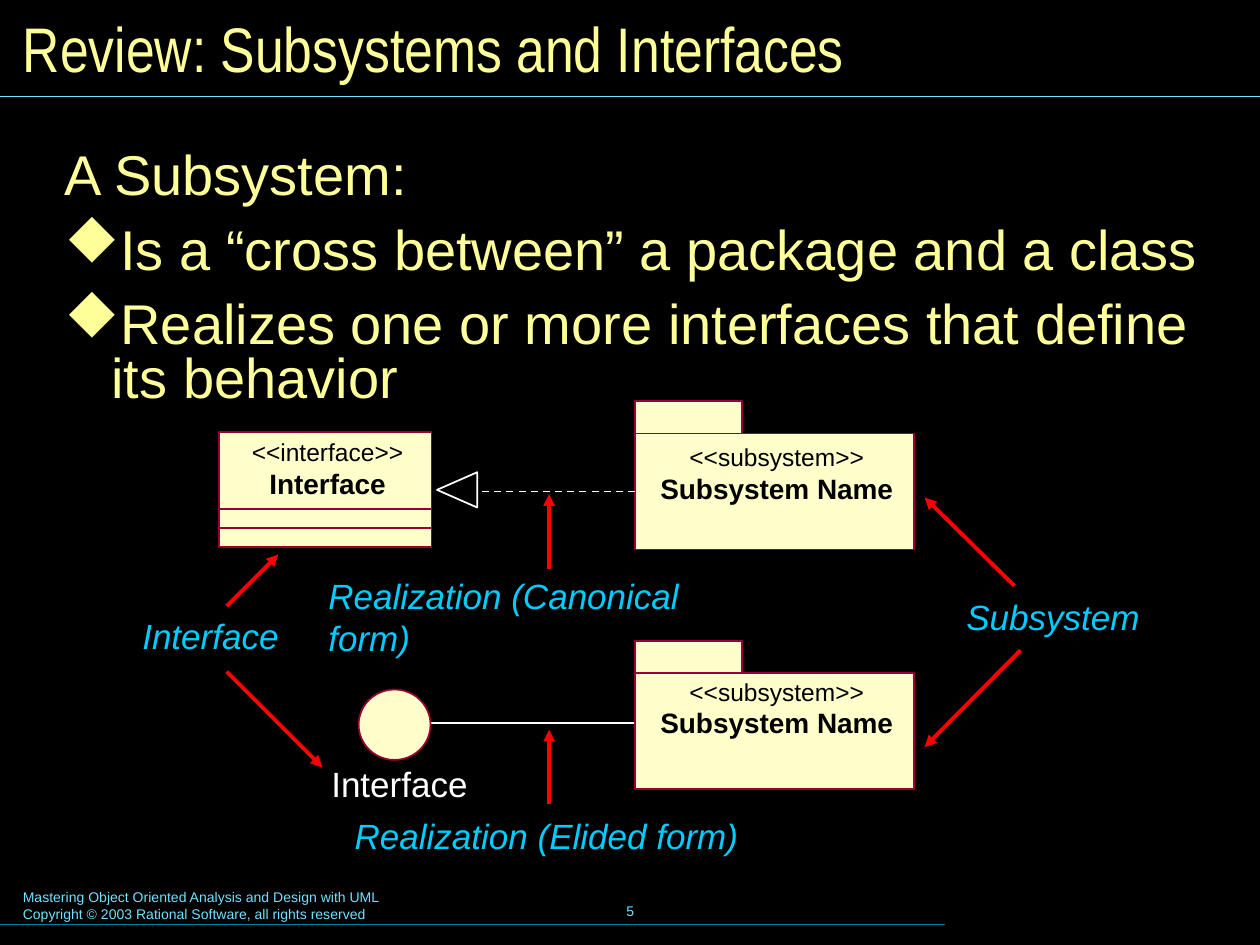
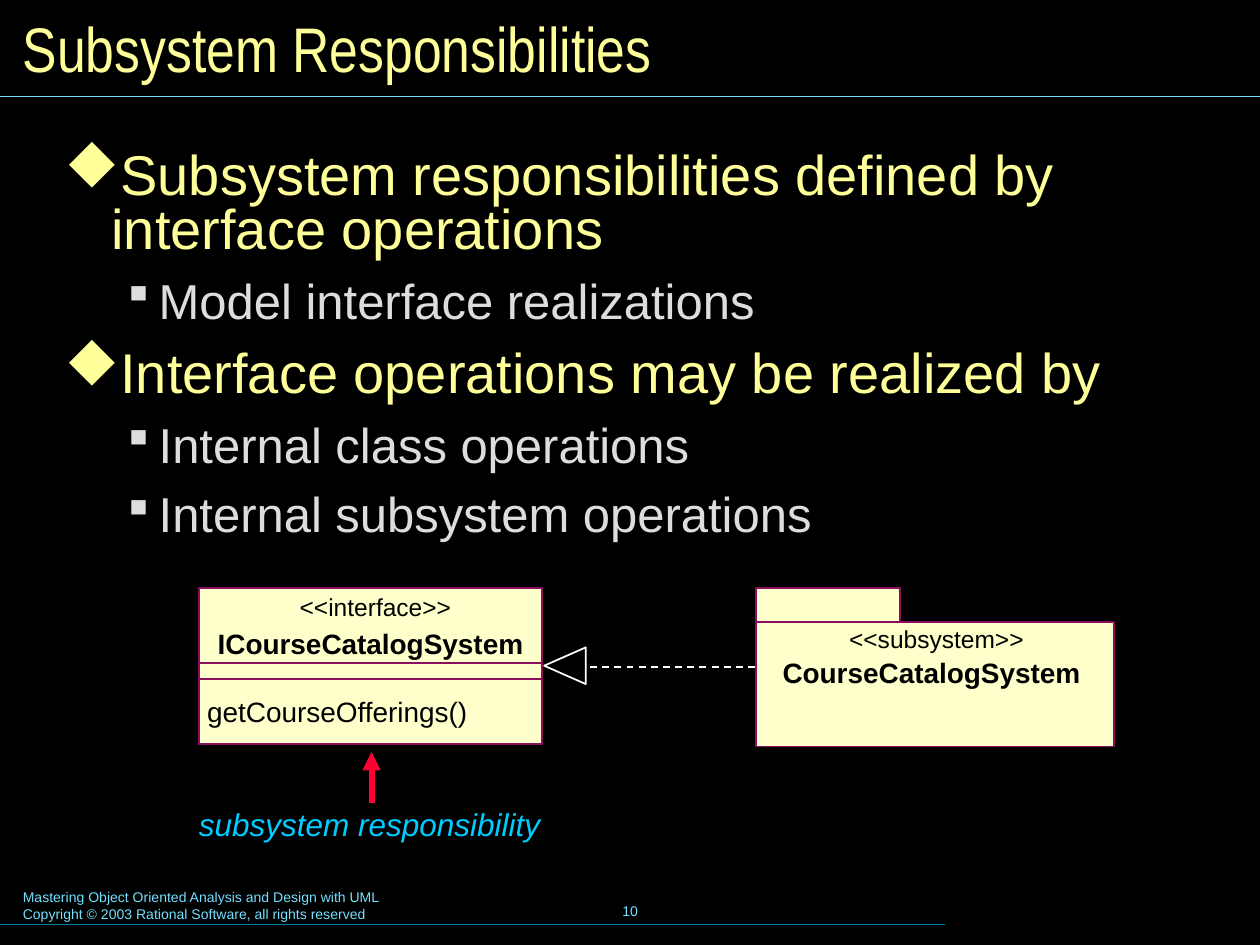
from dataclasses import dataclass
from typing import Optional

from lxml.etree import SubElement
from pptx import Presentation
from pptx.dml.color import RGBColor
from pptx.enum.dml import MSO_LINE
from pptx.enum.shapes import MSO_CONNECTOR, MSO_SHAPE
from pptx.enum.text import MSO_ANCHOR, MSO_AUTO_SIZE, PP_ALIGN
from pptx.oxml.ns import qn
from pptx.util import Cm, Pt

COLORS = {
    "background": "000000",
    "heading": "FFFF99",
    "detail": "DDDDDD",
    "footer": "73E1FF",
    "footer_rule": "007E9F",
    "node": "FFFFCC",
    "wine": "990033",
    "plum": "8A0E5E",
    "caption": "00CCFF",
    "arrow": "FF0000",
    "bold_arrow": "FF0033",
    "white": "FFFFFF",
    "black": "000000",
}
BODY_FONT = "Arial"
TITLE_FONT = "Arial Narrow"
BULLET_FONT = "Wingdings"
DIAMOND = "u"
SQUARE = "§"
FOOTER = (
    "Mastering Object Oriented Analysis and Design with UML",
    "Copyright © 2003 Rational Software, all rights reserved",
)


@dataclass(frozen=True)
class Style:
    size: float
    color: str
    bold: bool = False
    italic: bool = False
    font: str = BODY_FONT


@dataclass(frozen=True)
class Area:
    left: float
    top: float
    width: float
    height: float

    def lengths(self) -> tuple:
        return Cm(self.left), Cm(self.top), Cm(self.width), Cm(self.height)


@dataclass(frozen=True)
class Label:
    lines: tuple
    area: Area
    styles: tuple
    align: PP_ALIGN = PP_ALIGN.LEFT
    inset: tuple = (0, 0)
    fill: Optional[str] = None
    anchor: MSO_ANCHOR = MSO_ANCHOR.TOP


@dataclass(frozen=True)
class Line:
    start: tuple
    end: tuple
    color: str
    weight: float
    arrow: bool = False
    dashed: bool = False


@dataclass(frozen=True)
class Level:
    style: Style
    bullet: str
    margin: float
    hanging: float
    spacing: float
    before: float


TITLE = Style(36, "heading", font=TITLE_FONT)
SMALL = Style(8, "footer")
STEREOTYPE = Style(14, "black")
NAME = Style(16, "black", bold=True)
OPERATION = Style(16, "black")
CAPTION = Style(20, "caption", italic=True)
NODE_TEXT = (STEREOTYPE, NAME)
WIDE_INSET = (0.3, 0.15)
PLAIN_INSET = (0.25, 0.13)

HEADING = Style(32, "heading")
INTRO = Level(HEADING, "", 0.95, 0.95, 0.8, 12)
POINT = Level(HEADING, DIAMOND, 0.95, 0.95, 0.8, 12)
DETAIL = Level(Style(28, "detail"), SQUARE, 1.9, 0.63, 0.87, 10.5)


def rgb(name: str) -> RGBColor:
    return RGBColor.from_string(COLORS[name])


def format_spans(para, style: Style) -> None:
    for span in para.runs:
        span.font.name = style.font
        span.font.size = Pt(style.size)
        span.font.bold = style.bold
        span.font.italic = style.italic
        span.font.color.rgb = rgb(style.color)


def set_inset(frame, inset: tuple) -> None:
    frame.margin_left = frame.margin_right = Cm(inset[0])
    frame.margin_top = frame.margin_bottom = Cm(inset[1])


def add_label(page, label: Label) -> None:
    box = page.shapes.add_textbox(*label.area.lengths())
    if label.fill:
        box.fill.solid()
        box.fill.fore_color.rgb = rgb(label.fill)
    frame = box.text_frame
    frame.text = "\n".join(label.lines)
    frame.word_wrap = label.inset != (0, 0)
    frame.vertical_anchor = label.anchor
    set_inset(frame, label.inset)
    for para, style in zip(frame.paragraphs, label.styles):
        para.alignment = label.align
        format_spans(para, style)


def add_caption(page, text: str, area: Area, style: Style = CAPTION) -> None:
    add_label(page, Label((text,), area, (style,), inset=WIDE_INSET))


def add_node(page, area: Area, border: str, kind: MSO_SHAPE = MSO_SHAPE.RECTANGLE):
    node = page.shapes.add_shape(kind, *area.lengths())
    node.shadow.inherit = False
    node.fill.solid()
    node.fill.fore_color.rgb = rgb("node")
    node.line.color.rgb = rgb(border)
    node.line.width = Pt(1)
    return node


def add_package(page, body: Area, tab_width: float, tab_height: float, border: str):
    package = add_node(page, body, border)
    add_node(page, Area(body.left, body.top - tab_height, tab_width, tab_height), border)
    return package


def add_line(page, line: Line):
    ends = (Cm(value) for value in line.start + line.end)
    connector = page.shapes.add_connector(MSO_CONNECTOR.STRAIGHT, *ends)
    connector.line.color.rgb = rgb(line.color)
    connector.line.width = Pt(line.weight)
    if line.dashed:
        connector.line.dash_style = MSO_LINE.DASH
    properties = connector.element.spPr
    if line.arrow:
        SubElement(properties.find(qn("a:ln")), qn("a:tailEnd"), type="triangle")
    SubElement(properties, qn("a:effectLst"))
    return connector


def add_realization_head(page, area: Area) -> None:
    head = page.shapes.add_shape(MSO_SHAPE.ISOSCELES_TRIANGLE, *area.lengths())
    head.rotation = 270
    head.shadow.inherit = False
    head.fill.background()
    head.line.color.rgb = rgb("white")
    head.line.width = Pt(1)


def add_outline(page, area: Area, items: list) -> None:
    frame = page.shapes.add_textbox(*area.lengths()).text_frame
    frame.word_wrap = True
    set_inset(frame, WIDE_INSET)
    frame.text = "\n".join(text for _, text in items)
    for index, (para, (level, _)) in enumerate(zip(frame.paragraphs, items)):
        para.level = int(level is DETAIL)
        para.line_spacing = level.spacing
        para.space_before = Pt(level.before if index else 0)
        properties = para._p.get_or_add_pPr()
        properties.set("marL", str(Cm(level.margin)))
        properties.set("indent", str(-Cm(level.hanging)))
        if level.bullet:
            color = SubElement(properties, qn("a:buClr"))
            SubElement(color, qn("a:srgbClr"), val=COLORS[level.style.color])
            SubElement(properties, qn("a:buFont"), typeface=BULLET_FONT, charset="2")
            SubElement(properties, qn("a:buChar"), char=level.bullet)
        else:
            SubElement(properties, qn("a:buNone"))
        format_spans(para, level.style)


def add_page(deck, title: str, number: int):
    page = deck.slides.add_slide(deck.slide_layouts[5])
    page.background.fill.solid()
    page.background.fill.fore_color.rgb = rgb("background")
    heading = page.shapes.title
    heading.left, heading.top, heading.width, heading.height = Area(0.21, 0.21, 25, 1.47).lengths()
    frame = heading.text_frame
    frame.text = title
    frame.auto_size = MSO_AUTO_SIZE.NONE
    frame.vertical_anchor = MSO_ANCHOR.MIDDLE
    set_inset(frame, PLAIN_INSET)
    frame.paragraphs[0].alignment = PP_ALIGN.LEFT
    format_spans(frame.paragraphs[0], TITLE)
    add_label(page, Label(FOOTER, Area(0.21, 17.78, 12.95, 0.94), (SMALL, SMALL), inset=PLAIN_INSET))
    add_label(page, Label((str(number),), Area(8.68, 17.73, 8.05, 1.27), (SMALL,),
                          PP_ALIGN.CENTER, PLAIN_INSET, anchor=MSO_ANCHOR.MIDDLE))
    add_line(page, Line((0, 18.63), (19.05, 18.63), "footer_rule", 0.75))
    add_line(page, Line((0, 1.94), (25.4, 1.94), "footer", 0.75))
    return page


def build_review(deck) -> None:
    page = add_page(deck, "Review: Subsystems and Interfaces", 5)
    add_outline(page, Area(1, 2.92, 23.6, 5.54), [
        (INTRO, "A Subsystem:"),
        (POINT, "Is a “cross between” a package and a class"),
        (POINT, "Realizes one or more interfaces that define its behavior"),
    ])

    add_line(page, Line((8.3, 14.58), (12.8, 14.58), "white", 1))
    packages = []
    for body_top, text_top in ((8.74, 8.92), (13.57, 13.64)):
        packages.append(add_package(page, Area(12.8, body_top, 5.62, 2.34), 2.16, 0.65, "wine"))
        add_label(page, Label(("<<subsystem>>", "Subsystem Name"),
                              Area(13.11, text_top, 5.1, 1.27), NODE_TEXT, PP_ALIGN.CENTER))
    realization = add_line(page, Line((12.8, 9.91), (9.68, 9.91), "white", 1, dashed=True))
    realization.begin_connect(packages[0], 1)
    add_realization_head(page, Area(8.86, 9.47, 0.71, 0.81))

    add_node(page, Area(4.42, 8.71, 4.28, 2.32), "wine")
    for divider in (10.26, 10.65):
        add_line(page, Line((4.42, divider), (8.7, divider), "wine", 1))
    add_label(page, Label(("<<interface>>", "Interface"),
                          Area(4.6, 8.81, 4.01, 1.27), NODE_TEXT, PP_ALIGN.CENTER))
    add_node(page, Area(7.23, 13.9, 1.45, 1.42), "wine", MSO_SHAPE.OVAL)
    add_label(page, Label(("Interface",), Area(5.3, 15.24, 5.51, 1.12),
                          (Style(20, "white"),), PP_ALIGN.CENTER, PLAIN_INSET))

    add_caption(page, "Interface", Area(2.57, 12.24, 3.45, 1.14))
    add_caption(page, "Subsystem", Area(19.18, 11.86, 4.29, 1.14))
    add_caption(page, "Realization (Canonical form)", Area(6.32, 11.43, 9.45, 2.01))
    add_caption(page, "Realization (Elided form)", Area(6.85, 16.27, 8.4, 1.14))
    for start, end in (
        ((20.45, 11.81), (18.64, 10.03)),
        ((20.57, 13.11), (18.64, 15.06)),
        ((11.07, 11.48), (11.07, 9.96)),
        ((11.07, 16.21), (11.07, 14.71)),
        ((4.57, 12.22), (5.61, 11.18)),
        ((4.57, 13.54), (6.5, 15.47)),
    ):
        add_line(page, Line(start, end, "arrow", 2.25, arrow=True))


def build_responsibilities(deck) -> None:
    page = add_page(deck, "Subsystem Responsibilities", 10)
    add_outline(page, Area(1, 2.92, 23.6, 14.02), [
        (POINT, "Subsystem responsibilities defined by interface operations"),
        (DETAIL, "Model interface realizations"),
        (POINT, "Interface operations may be realized by"),
        (DETAIL, "Internal class operations"),
        (DETAIL, "Internal subsystem operations"),
    ])

    add_package(page, Area(15.24, 12.54, 7.22, 2.51), 2.9, 0.69, "plum")
    interface_bottom = 15
    for compartment_top in (11.85, 13.36, 13.69):
        add_node(page, Area(4.02, compartment_top, 6.91, interface_bottom - compartment_top), "plum")
    for text, area, style in (
        ("<<subsystem>>", Area(16.98, 12.59, 3.8, 0.58), STEREOTYPE),
        ("CourseCatalogSystem", Area(15.63, 13.21, 6.3, 0.69), NAME),
        ("<<interface>>", Area(5.87, 11.94, 3.4, 0.58), STEREOTYPE),
        ("ICourseCatalogSystem", Area(4.27, 12.63, 6.4, 0.69), NAME),
        ("getCourseOfferings()", Area(4.05, 14, 5.5, 0.69), OPERATION),
    ):
        add_label(page, Label((text,), area, (style,), PP_ALIGN.CENTER, fill="node"))
    add_line(page, Line((15.22, 13.44), (11.81, 13.44), "white", 1, dashed=True))
    add_realization_head(page, Area(11.02, 13, 0.74, 0.84))

    add_caption(page, "subsystem responsibility", Area(3.71, 16.08, 7.7, 1.07),
                Style(18, "caption", italic=True))
    add_line(page, Line((7.49, 16.18), (7.49, 15.16), "bold_arrow", 3.5, arrow=True))


def main() -> None:
    deck = Presentation()
    deck.slide_width, deck.slide_height = Cm(25.4), Cm(19.05)
    build_review(deck)
    build_responsibilities(deck)
    deck.save("out.pptx")


if __name__ == "__main__":
    main()
